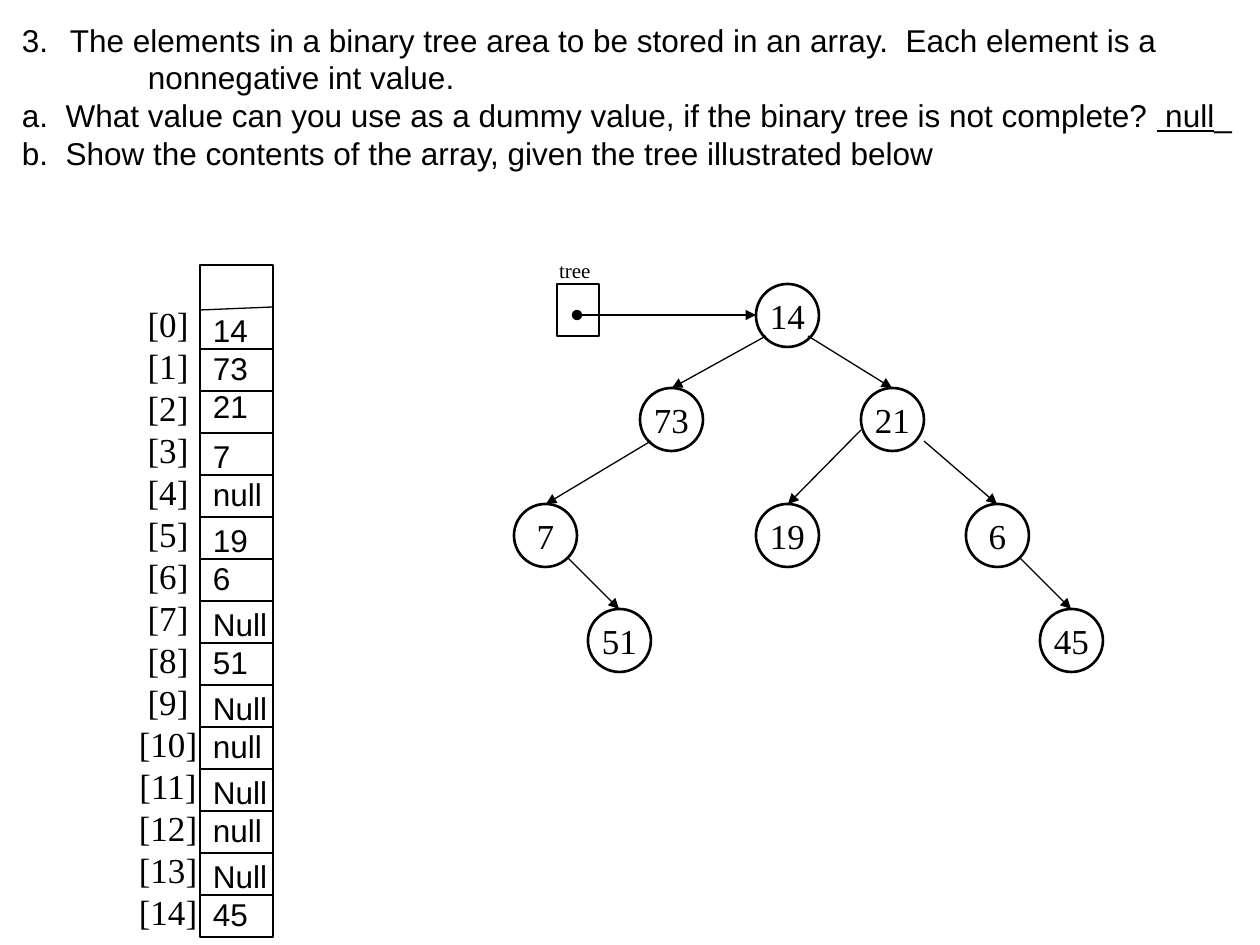
from lxml.etree import SubElement
from pptx import Presentation
from pptx.dml.color import RGBColor
from pptx.enum.shapes import MSO_CONNECTOR as Connector, MSO_SHAPE as Shape
from pptx.enum.text import MSO_ANCHOR as Anchor, PP_ALIGN as Align
from pptx.oxml.ns import qn
from pptx.util import Emu, Pt

BLACK = RGBColor(0, 0, 0)
SANS, SERIF = "Arial", "Times New Roman"
PX = 914400 / 126
INSET_X, INSET_Y = 13, 6

NODE_SIZE = 63
NODES = [
    ("14", 756, 284), ("73", 640, 388), ("21", 861, 388), ("7", 514, 504),
    ("51", 588, 609), ("19", 756, 504), ("6", 966, 504), ("45", 1040, 609),
]
EDGES = [
    (766, 336, 672, 388), (808, 336, 892, 388), (651, 441, 546, 504),
    (861, 430, 788, 504), (567, 557, 619, 609), (924, 441, 997, 504),
    (1019, 557, 1071, 609),
]

ARRAY_LEFT, ARRAY_TOP, ARRAY_WIDTH = 200, 265, 73
ROW_HEIGHT, ROW_COUNT = 42, 16
VALUE_PITCH = 38
FIRST_VALUES = ["14", "73", "21"]
VALUE_PAIRS = [
    ("7", "null"), ("19", "6"), ("Null", "51"),
    ("Null", "null"), ("Null", "null"), ("Null", "45"),
]


def px(length):
    return Emu(round(length * PX))


def write(para, text, font=SANS, size=18, underline=None):
    span = para.add_run()
    span.text = text
    span.font.name = font
    span.font.size = Pt(size)
    span.font.color.rgb = BLACK
    span.font.underline = underline


class Sketch:
    def __init__(self, page):
        self.shapes = page.shapes
        self.color = BLACK
        self.thin = 0.75

    def outline(self, kind, left, top, width, height, weight=None):
        shape = self.shapes.add_shape(kind, px(left), px(top), px(width), px(height))
        shape.shadow.inherit = False
        shape.fill.background()
        shape.line.color.rgb = self.color
        shape.line.width = Pt(weight or self.thin)
        return shape

    def node(self, label, left, top):
        circle = self.outline(Shape.OVAL, left, top, NODE_SIZE, NODE_SIZE, 1.5)
        frame = circle.text_frame
        frame.word_wrap = False
        frame.vertical_anchor = Anchor.MIDDLE
        para = frame.paragraphs[0]
        para.alignment = Align.CENTER
        write(para, label, font=SERIF, size=20)

    def line(self, x1, y1, x2, y2, head=None, tail=None):
        connector = self.shapes.add_connector(
            Connector.STRAIGHT, px(x1), px(y1), px(x2), px(y2))
        connector.line.color.rgb = self.color
        connector.line.width = Pt(self.thin)
        properties = connector._element.spPr
        stroke = properties.find(qn("a:ln"))
        for tag, end in (("a:headEnd", head), ("a:tailEnd", tail)):
            if end:
                SubElement(stroke, qn(tag), type=end)
        SubElement(properties, qn("a:effectLst"))

    def text_box(self, left, top, width, height, side=INSET_X):
        box = self.shapes.add_textbox(px(left), px(top), px(width), px(height))
        frame = box.text_frame
        frame.word_wrap = False
        frame.margin_left = px(side)
        frame.margin_right = px(0)
        frame.margin_top = frame.margin_bottom = px(INSET_Y)
        return frame

    def paragraphs(self, frame, count, spacing):
        for _ in range(count - 1):
            frame.add_paragraph()
        for para in frame.paragraphs:
            para.line_spacing = Pt(spacing)
        return frame.paragraphs

    def column(self, frame, texts, spacing, align=Align.LEFT, **style):
        for para, text in zip(self.paragraphs(frame, len(texts), spacing), texts):
            para.alignment = align
            write(para, text, **style)

    def values(self, texts, middle):
        height = VALUE_PITCH * len(texts) + 2 * INSET_Y
        frame = self.text_box(ARRAY_LEFT, middle - height / 2, ARRAY_WIDTH, height)
        frame.vertical_anchor = Anchor.MIDDLE
        self.column(frame, texts, 21.5)


def draw_question(sketch):
    frame = sketch.text_box(9, 15, 1246, 165)
    paras = sketch.paragraphs(frame, 4, 21.5)
    for para, margin in zip(paras, (48, 174, 48, 48)):
        properties = para._p.get_or_add_pPr()
        properties.set("marL", str(px(margin)))
        properties.set("indent", str(px(-48)))
    SubElement(paras[0]._p.pPr, qn("a:buAutoNum"), type="arabicPeriod", startAt="3")
    paras[1].level = 1
    write(paras[0], "The elements in a binary tree area to be stored in an array.  Each element is a")
    write(paras[1], "nonnegative int value.")
    write(paras[2], "a.  What value can you use as a dummy value, if the binary tree is not complete? ")
    write(paras[2], " null", underline=True)
    write(paras[2], "_", underline=False)
    write(paras[3], "b.  Show the contents of the array, given the tree illustrated below")


def draw_tree(sketch):
    for node in NODES:
        sketch.node(*node)
    for edge in EDGES:
        sketch.line(*edge, tail="triangle")
    sketch.outline(Shape.RECTANGLE, 557, 284, 42, 52)
    sketch.line(577, 315, 756, 315, head="oval", tail="triangle")
    sketch.column(sketch.text_box(546, 252, 57, 38), ["tree"], 14.4, font=SERIF, size=12)


def draw_array(sketch):
    right = ARRAY_LEFT + ARRAY_WIDTH
    sketch.outline(Shape.RECTANGLE, ARRAY_LEFT, ARRAY_TOP, ARRAY_WIDTH, ROW_HEIGHT * ROW_COUNT)
    sketch.line(ARRAY_LEFT, 310, right, 307)
    for row in range(2, ROW_COUNT + 1):
        y = ARRAY_TOP + row * ROW_HEIGHT
        sketch.line(ARRAY_LEFT, y, right, y)
    labels = [f"[{index}]" for index in range(ROW_COUNT - 1)]
    sketch.column(sketch.text_box(126, 296, 84, 649, side=0), labels, 24,
                  align=Align.CENTER, font=SERIF, size=20)
    sketch.values(FIRST_VALUES, 368)
    for index, pair in enumerate(VALUE_PAIRS):
        sketch.values(pair, ARRAY_TOP + (5 + 2 * index) * ROW_HEIGHT)


def main():
    deck = Presentation()
    deck.slide_width, deck.slide_height = px(1260), px(945)
    sketch = Sketch(deck.slides.add_slide(deck.slide_layouts[6]))
    draw_question(sketch)
    draw_tree(sketch)
    draw_array(sketch)
    deck.save("out.pptx")


if __name__ == "__main__":
    main()
